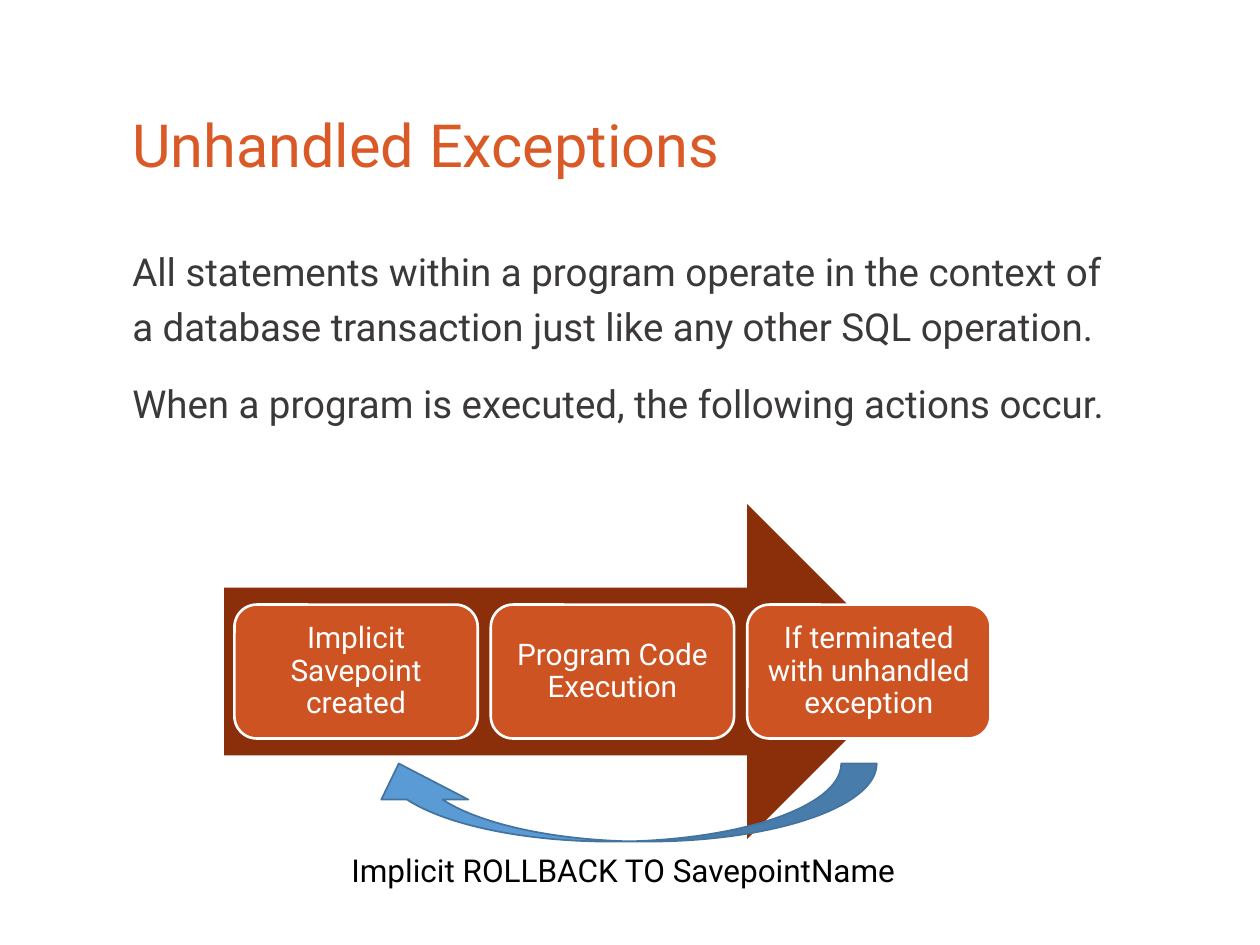
from lxml import etree
from pptx import Presentation
from pptx.dml.color import RGBColor
from pptx.enum.shapes import MSO_SHAPE
from pptx.enum.text import MSO_ANCHOR, MSO_AUTO_SIZE, PP_ALIGN
from pptx.oxml.ns import qn
from pptx.util import Pt

LEFT, CENTER = PP_ALIGN.LEFT, PP_ALIGN.CENTER
TOP, MIDDLE, BOTTOM = MSO_ANCHOR.TOP, MSO_ANCHOR.MIDDLE, MSO_ANCHOR.BOTTOM
RIGHT_ARROW = MSO_SHAPE.RIGHT_ARROW
ROUNDED = MSO_SHAPE.ROUNDED_RECTANGLE
CURVED_ARROW = MSO_SHAPE.CURVED_DOWN_ARROW
NO_AUTOFIT = MSO_AUTO_SIZE.NONE

FONT = "Roboto"
COLORS = {
    "title": "D95A27",
    "body": "3B3838",
    "flow": "8B2F0A",
    "step": "CD5322",
    "white": "FFFFFF",
    "rollback": "5B9BD5",
    "rollback_edge": "43739E",
    "black": "000000",
}
STATEMENTS = [
    "All statements within a program operate in the context of "
    "a database transaction just like any other SQL operation.",
    "When a program is executed, the following actions occur.",
]
STEPS = [
    "Implicit Savepoint created",
    "Program Code Execution",
    "If terminated with unhandled exception",
]
STEP_LEFT, STEP_PITCH = 134, 146.5


def color(name):
    return RGBColor.from_string(COLORS[name])


def write(holder, paragraphs, size, ink, align=LEFT, anchor=TOP,
          spacing=1.0, gap=0, after=0, inset=None, top_inset=None):
    """Fill a shape with unbulleted paragraphs in one format."""
    frame = holder.text_frame
    frame.word_wrap = True
    frame.auto_size = NO_AUTOFIT
    frame.vertical_anchor = anchor
    if inset is not None:
        frame.margin_left = frame.margin_right = Pt(inset)
        frame.margin_top = frame.margin_bottom = Pt(inset)
    if top_inset is not None:
        frame.margin_top = Pt(top_inset)
    for number, text in enumerate(paragraphs):
        paragraph = frame.add_paragraph() if number else frame.paragraphs[0]
        paragraph.text = text
        properties = paragraph._p.get_or_add_pPr()
        properties.set("marL", "0")
        properties.set("indent", "0")
        etree.SubElement(properties, qn("a:buNone"))
        paragraph.alignment = align
        paragraph.line_spacing = spacing
        paragraph.space_before = Pt(gap if number else 0)
        paragraph.space_after = Pt(after)
        for run in paragraph.runs:
            run.font.name = FONT
            run.font.size = Pt(size)
            run.font.color.rgb = color(ink)


def place(holder, left, top, width, height):
    """Move and size a placeholder."""
    holder.left, holder.top = Pt(left), Pt(top)
    holder.width, holder.height = Pt(width), Pt(height)


def add_block(slide, preset, left, top, width, height, fill, edge=None, weight=1):
    """Add a flat preset shape with an optional outline."""
    block = slide.shapes.add_shape(preset, Pt(left), Pt(top), Pt(width), Pt(height))
    block.shadow.inherit = False
    block.fill.solid()
    block.fill.fore_color.rgb = color(fill)
    if edge:
        block.line.color.rgb = color(edge)
        block.line.width = Pt(weight)
    else:
        block.line.fill.background()
    return block


def add_rollback(slide):
    """Add the curved arrow back to the savepoint, with its caption."""
    rollback = add_block(slide, CURVED_ARROW, 203, 436.3, 298, 44.6,
                         "rollback", "rollback_edge")
    rollback.rotation = 180
    for index, value in enumerate((0.455, 1.116, 0.462)):
        rollback.adjustments[index] = value
    caption = slide.shapes.add_textbox(Pt(193.7), Pt(483), Pt(349), Pt(29))
    write(caption, ["Implicit ROLLBACK TO SavepointName"], 18, "black")


def main():
    deck = Presentation()
    deck.slide_width, deck.slide_height = Pt(720), Pt(540)
    slide = deck.slides.add_slide(deck.slide_layouts[1])

    title = slide.shapes.title
    place(title, 68.4, 57, 579, 49.7)
    write(title, ["Unhandled Exceptions"], 34, "title", anchor=BOTTOM, spacing=0.9)

    body = slide.placeholders[1]
    place(body, 68.4, 126.7, 579, 381)
    write(body, STATEMENTS, 22, "body", spacing=1.2, gap=6, after=6, top_inset=9.6)

    add_block(slide, RIGHT_ARROW, 128, 288, 394.6, 191.5, "flow")
    for number, label in enumerate(STEPS):
        step = add_block(slide, ROUNDED, STEP_LEFT + number * STEP_PITCH, 345.5,
                         139, 76.5, "step", "white", 1.5)
        write(step, [label], 17, "white", align=CENTER, anchor=MIDDLE,
              spacing=0.9, inset=5)
    add_rollback(slide)

    deck.save("out.pptx")


if __name__ == "__main__":
    main()
